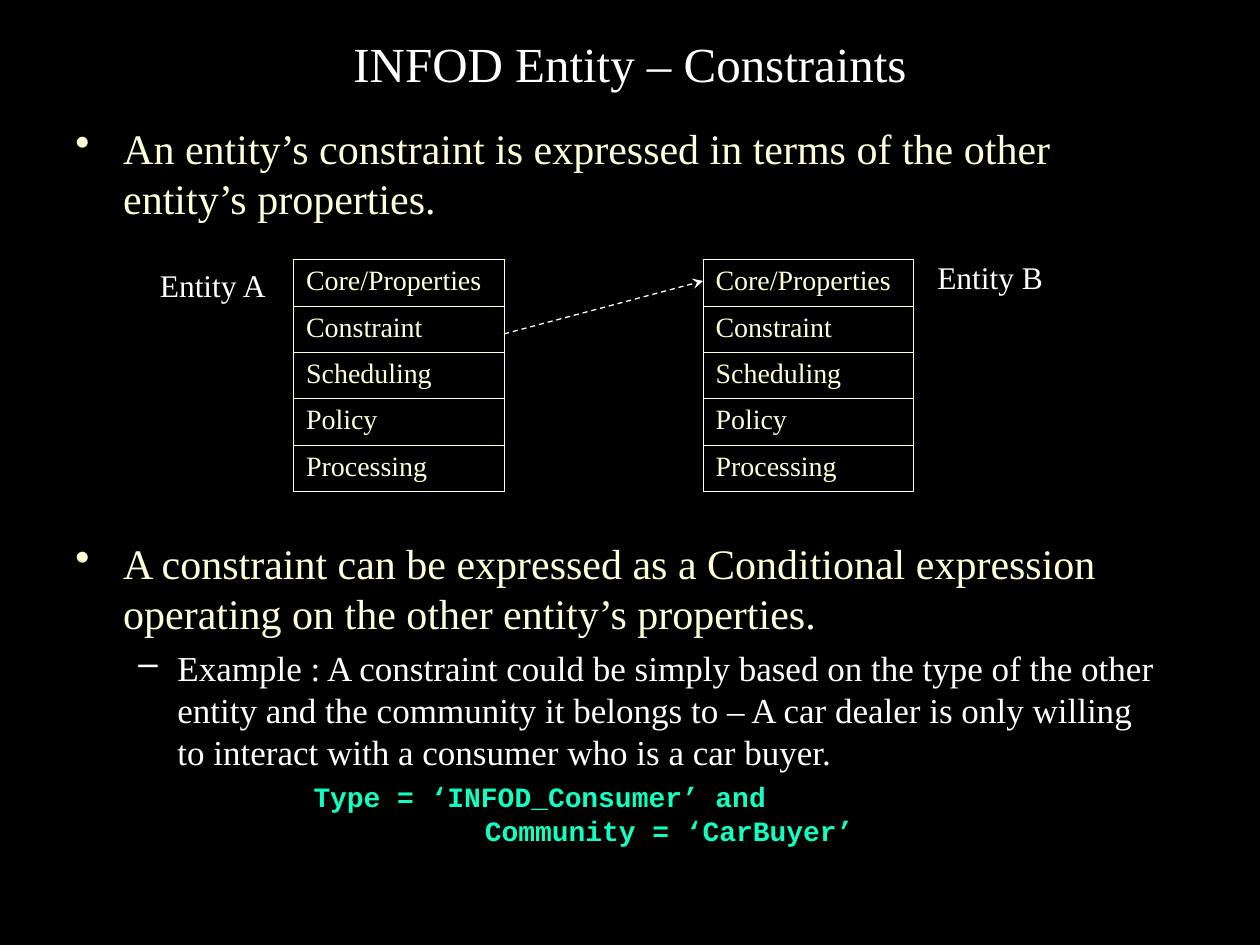
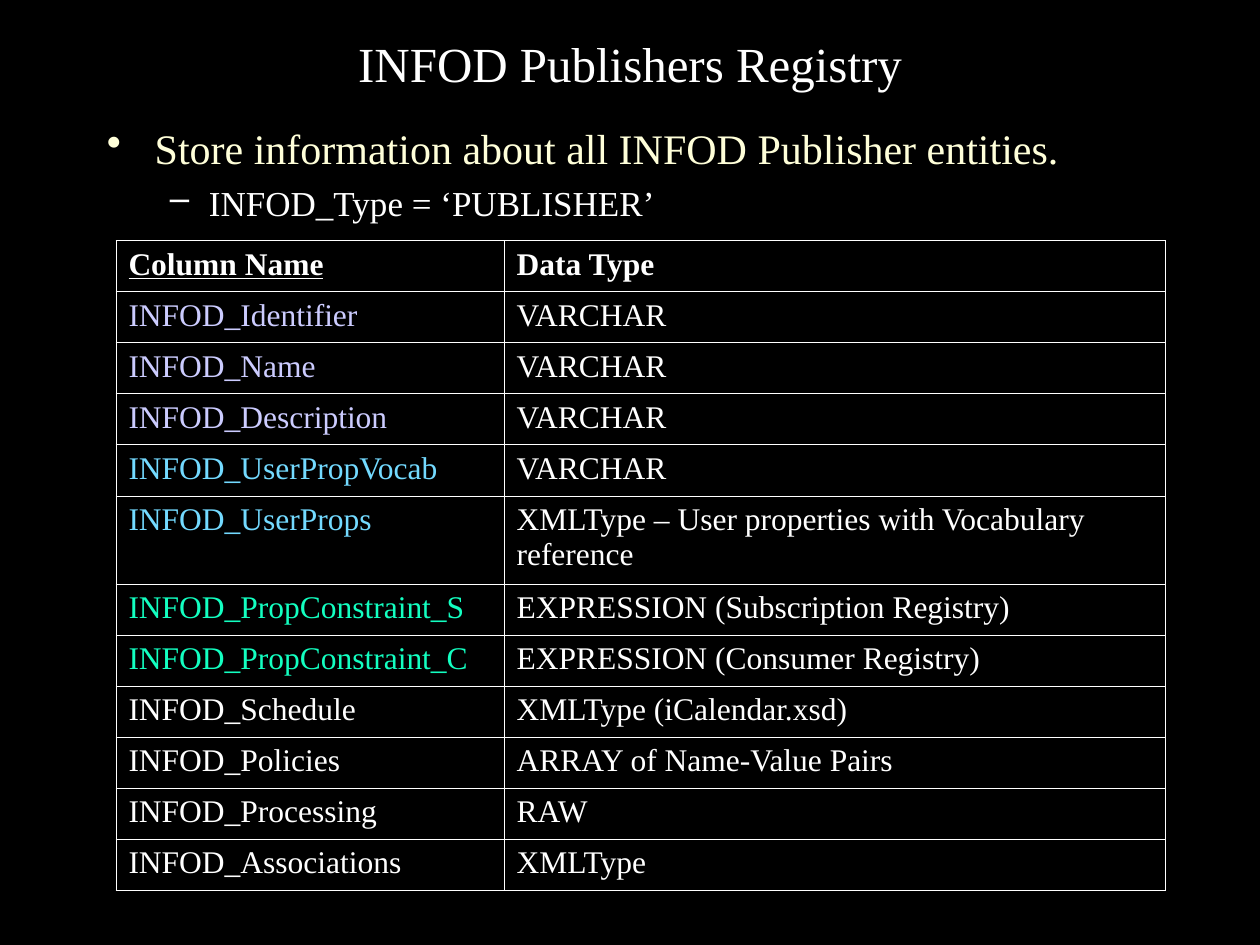
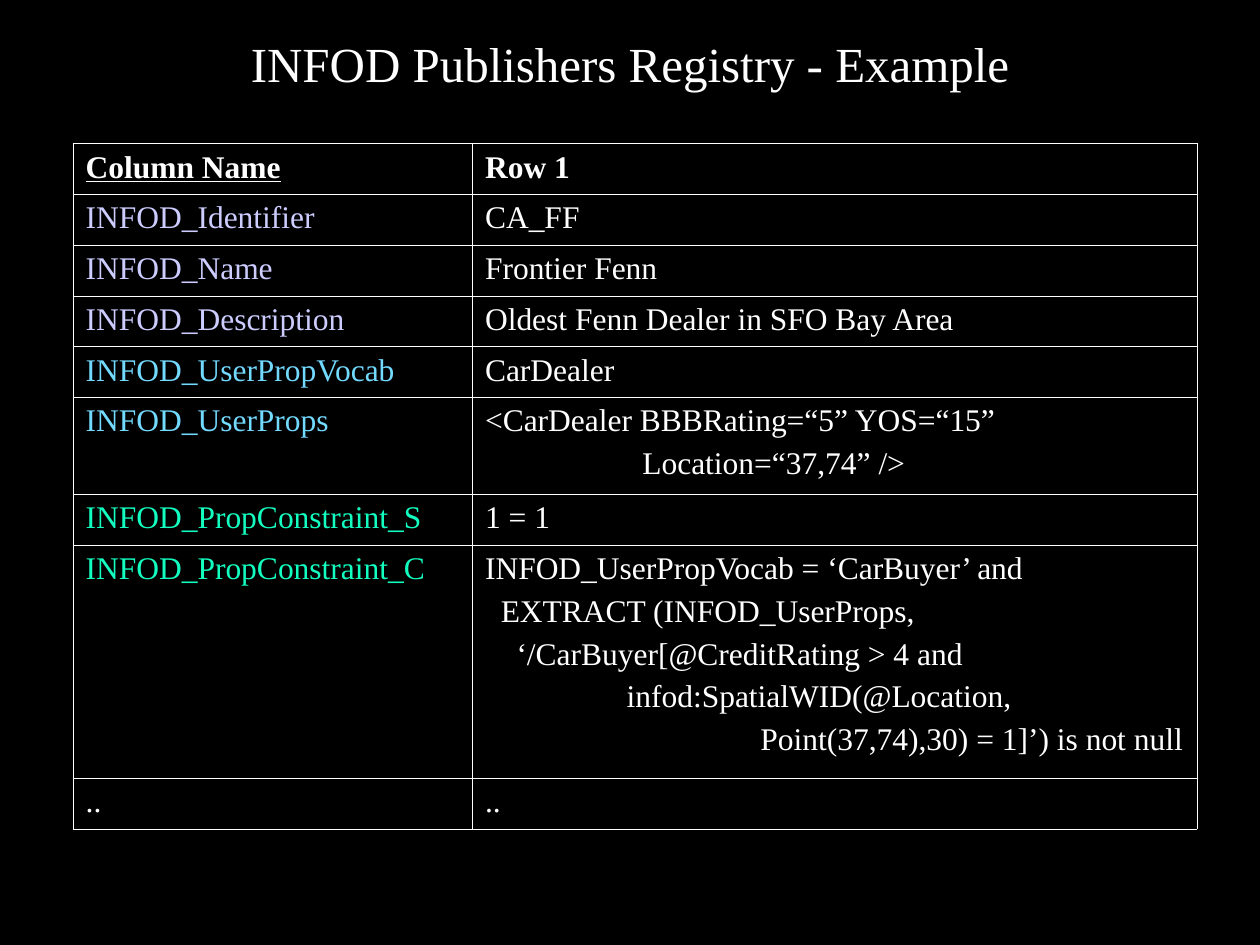
from pptx import Presentation
from pptx.dml.color import RGBColor
from pptx.enum import dml, shapes, text
from pptx.oxml.ns import qn
from pptx.util import Inches, Pt
from lxml import etree

BLACK = RGBColor(0x00, 0x00, 0x00)
WHITE = RGBColor(0xFF, 0xFF, 0xFF)
CREAM = RGBColor(0xFF, 0xFF, 0xD9)
LAVENDER = RGBColor(0xCC, 0xCC, 0xFF)
SKY = RGBColor(0x73, 0xDA, 0xFF)
MINT = RGBColor(0x13, 0xFF, 0xC1)

SERIF = "Times New Roman"
MONO = "Courier New"

COLUMN_COLORS = {
    "INFOD_Identifier": LAVENDER,
    "INFOD_Name": LAVENDER,
    "INFOD_Description": LAVENDER,
    "INFOD_UserPropVocab": SKY,
    "INFOD_UserProps": SKY,
    "INFOD_PropConstraint_S": MINT,
    "INFOD_PropConstraint_C": MINT,
}

# level: bullet, size, colour, left margin, first-line indent
LEVELS = [
    ("•", 24, CREAM, 0.38, -0.38),
    ("–", 20, WHITE, 0.81, -0.31),
]

ENTITY_PARTS = ["Core/Properties", "Constraint", "Scheduling", "Policy", "Processing"]

PUBLISHER_COLUMNS = [
    ("Column Name", "Data Type"),
    ("INFOD_Identifier", "VARCHAR"),
    ("INFOD_Name", "VARCHAR"),
    ("INFOD_Description", "VARCHAR"),
    ("INFOD_UserPropVocab", "VARCHAR"),
    ("INFOD_UserProps", "XMLType – User properties with Vocabulary reference"),
    ("INFOD_PropConstraint_S", "EXPRESSION (Subscription Registry)"),
    ("INFOD_PropConstraint_C", "EXPRESSION (Consumer Registry)"),
    ("INFOD_Schedule", "XMLType (iCalendar.xsd)"),
    ("INFOD_Policies", "ARRAY of Name-Value Pairs"),
    ("INFOD_Processing", "RAW"),
    ("INFOD_Associations", "XMLType"),
]

USER_PROPS = """<CarDealer BBBRating=“5” YOS=“15”
                    Location=“37,74” />"""

CONSUMER_CONSTRAINT = """INFOD_UserPropVocab = ‘CarBuyer’ and
  EXTRACT (INFOD_UserProps,
    ‘/CarBuyer[@CreditRating > 4 and
                  infod:SpatialWID(@Location,
                                   Point(37,74),30) = 1]’) is not null"""

PUBLISHER_EXAMPLE = [
    ("Column Name", "Row 1"),
    ("INFOD_Identifier", "CA_FF"),
    ("INFOD_Name", "Frontier Fenn"),
    ("INFOD_Description", "Oldest Fenn Dealer in SFO Bay Area"),
    ("INFOD_UserPropVocab", "CarDealer"),
    ("INFOD_UserProps", USER_PROPS),
    ("INFOD_PropConstraint_S", "1 = 1"),
    ("INFOD_PropConstraint_C", CONSUMER_CONSTRAINT),
    ("..", ".."),
]


def add_color(parent, color):
    etree.SubElement(parent, qn("a:srgbClr"), val=str(color))


def format_runs(paragraph, size, color, font=SERIF, bold=False, underline=False):
    for run in paragraph.runs:
        run.font.size = Pt(size)
        run.font.name = font
        run.font.color.rgb = color
        run.font.bold = bold
        run.font.underline = underline


def set_indent(paragraph, margin, indent):
    properties = paragraph._p.get_or_add_pPr()
    properties.set("marL", str(Inches(margin)))
    properties.set("indent", str(Inches(indent)))
    return properties


def set_borders(cell, color):
    properties = cell._tc.get_or_add_tcPr()
    for index, side in enumerate(("lnL", "lnR", "lnT", "lnB")):
        line = etree.Element(qn(f"a:{side}"), w=str(Pt(0.45)))
        add_color(etree.SubElement(line, qn("a:solidFill")), color)
        properties.insert(index, line)


class Deck:
    def __init__(self):
        self.presentation = Presentation()
        self.presentation.slide_width = Inches(10)
        self.presentation.slide_height = Inches(7.5)
        background = self.presentation.slide_master.background.fill
        background.solid()
        background.fore_color.rgb = BLACK
        self.slide = None

    def new_slide(self, title, top=0.08, height=0.84):
        layout = self.presentation.slide_layouts.get_by_name("Title Only")
        self.slide = self.presentation.slides.add_slide(layout)
        shape = self.slide.shapes.title
        shape.left, shape.top = Inches(0.75), Inches(top)
        shape.width, shape.height = Inches(8.5), Inches(height)
        frame = shape.text_frame
        frame.text = title
        frame.vertical_anchor = text.MSO_ANCHOR.MIDDLE
        paragraph = frame.paragraphs[0]
        paragraph.alignment = text.PP_ALIGN.CENTER
        format_runs(paragraph, 28, WHITE)

    def text_box(self, left, top, width, height):
        box = self.slide.shapes.add_textbox(
            Inches(left), Inches(top), Inches(width), Inches(height))
        box.text_frame.word_wrap = True
        return box.text_frame

    def label(self, words, left, top):
        frame = self.text_box(left, top, 1.15, 0.4)
        frame.text = words
        format_runs(frame.paragraphs[0], 18, WHITE)

    def bullets(self, items, left, top, width, height):
        """Items are (level, words, space before in points)."""
        frame = self.text_box(left, top, width, height)
        for index, (level, words, space) in enumerate(items):
            paragraph = frame.paragraphs[0] if index == 0 else frame.add_paragraph()
            mark, size, color, margin, indent = LEVELS[level]
            paragraph.text = words
            paragraph.level = level
            properties = set_indent(paragraph, margin, indent)
            add_color(etree.SubElement(properties, qn("a:buClr")), color)
            etree.SubElement(properties, qn("a:buChar"), char=mark)
            paragraph.space_before = Pt(space)
            format_runs(paragraph, size, color)
        return frame

    def code(self, frame, words, margin, indent):
        paragraph = frame.add_paragraph()
        paragraph.text = words
        set_indent(paragraph, margin, indent)
        paragraph.space_before = Pt(4)
        format_runs(paragraph, 16, MINT, MONO, bold=True)

    def table(self, rows, left, top, widths, height, color, style_cell, tall_rows=None):
        """Rows share the height equally, apart from tall_rows {index: height}."""
        tall_rows = tall_rows or {}
        equal = (height - sum(tall_rows.values())) / (len(rows) - len(tall_rows))
        table = self.slide.shapes.add_table(
            len(rows), len(widths), Inches(left), Inches(top),
            Inches(sum(widths)), Inches(height)).table
        table.first_row = table.horz_banding = False
        for column, width in zip(table.columns, widths):
            column.width = Inches(width)
        for row_index, values in enumerate(rows):
            table.rows[row_index].height = Inches(tall_rows.get(row_index, equal))
            for column_index, value in enumerate(values):
                cell = table.cell(row_index, column_index)
                cell.fill.background()
                set_borders(cell, color)
                cell.text_frame.text = value
                for index, paragraph in enumerate(cell.text_frame.paragraphs):
                    paragraph.space_before = Pt(4.5 if index else 0)
                    style_cell(paragraph, row_index, column_index, value)

    def entity_table(self, left):
        def style_cell(paragraph, row, column, value):
            format_runs(paragraph, 16, CREAM)

        self.table([(part,) for part in ENTITY_PARTS], left, 2.06, [1.67], 1.84,
                   CREAM, style_cell)

    def registry_table(self, rows, left, top, widths, height, tall_rows):
        def style_cell(paragraph, row, column, value):
            header = row == 0
            color = COLUMN_COLORS.get(value, WHITE) if column == 0 else WHITE
            format_runs(paragraph, 18, color, bold=header,
                        underline=header and column == 0)

        self.table(rows, left, top, widths, height, WHITE, style_cell, tall_rows)

    def dashed_arrow(self, start, end):
        connector = self.slide.shapes.add_connector(
            shapes.MSO_CONNECTOR.STRAIGHT, *map(Inches, start + end))
        connector.line.color.rgb = WHITE
        connector.line.width = Pt(0.75)
        connector.line.dash_style = dml.MSO_LINE.DASH
        etree.SubElement(connector.line._get_or_add_ln(), qn("a:tailEnd"), type="stealth")
        etree.SubElement(connector._element.spPr, qn("a:effectLst"))


def constraints_slide(deck):
    deck.new_slide("INFOD Entity – Constraints", top=0.17, height=0.66)
    frame = deck.bullets([
        (0, "An entity’s constraint is expressed in terms of the other "
            "entity’s properties.", 0),
        (0, "A constraint can be expressed as a Conditional expression "
            "operating on the other entity’s properties.", 179.5),
        (1, "Example : A constraint could be simply based on the type of the other "
            "entity and the community it belongs to – A car dealer is only willing "
            "to interact with a consumer who is a car buyer.", 5),
    ], 0.5, 0.92, 8.83, 6.33)
    deck.code(frame, "Type = ‘INFOD_Consumer’ and\vCommunity = ‘CarBuyer’", 3.25, -1.36)
    deck.entity_table(2.33)
    deck.label("Entity A", 1.17, 2.06)
    deck.label("Entity B", 7.34, 2)
    deck.entity_table(5.58)
    deck.dashed_arrow((4, 2.65), (5.58, 2.23))


def registry_slide(deck):
    deck.new_slide("INFOD Publishers Registry")
    deck.bullets([
        (0, "Store information about all INFOD Publisher entities.", 0),
        (1, "INFOD_Type = ‘PUBLISHER’", 5),
    ], 0.75, 0.92, 8.67, 1)
    deck.registry_table(PUBLISHER_COLUMNS, 0.92, 1.91, [3.08, 5.25], 5.16, {5: 0.7})


def example_slide(deck):
    deck.new_slide("INFOD Publishers Registry - Example")
    deck.registry_table(PUBLISHER_EXAMPLE, 0.58, 1.14, [3.17, 5.75], 5.44,
                        {5: 0.77, 7: 1.85})


def main():
    deck = Deck()
    constraints_slide(deck)
    registry_slide(deck)
    example_slide(deck)
    deck.presentation.save("out.pptx")


if __name__ == "__main__":
    main()
